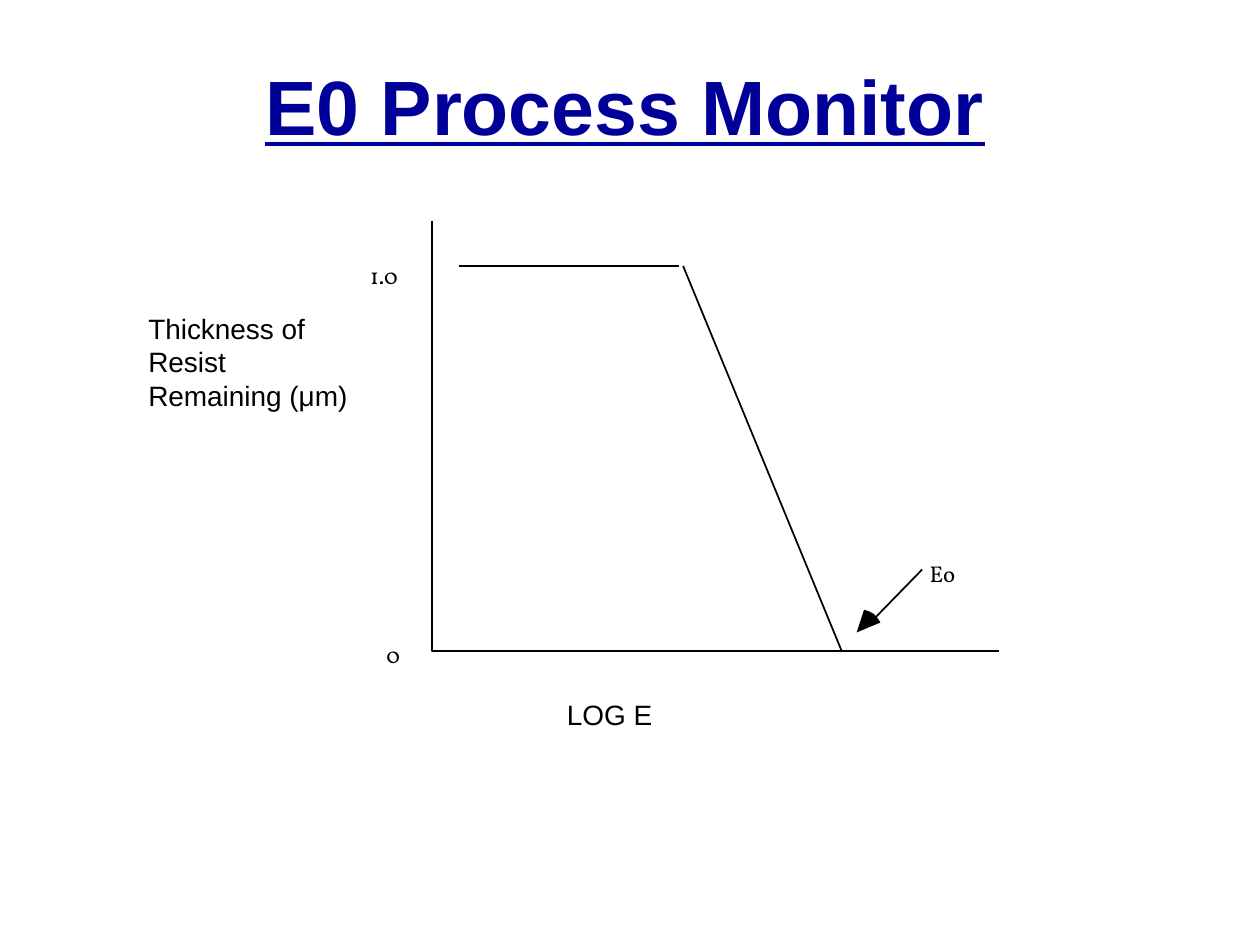
from dataclasses import dataclass

from lxml.etree import SubElement
from pptx import Presentation
from pptx.dml.color import RGBColor
from pptx.enum.shapes import MSO_CONNECTOR
from pptx.enum.text import MSO_ANCHOR, PP_ALIGN
from pptx.oxml.ns import qn
from pptx.util import Cm, Pt

INK = "000000"
NAVY = "000099"

Point = tuple[float, float]


@dataclass(frozen=True)
class Label:
    text: str
    left: float
    top: float
    width: float
    height: float
    size: int
    font: str


@dataclass(frozen=True)
class Segment:
    start: Point
    end: Point


LABELS = [
    Label("Thickness of\nResist\nRemaining (μm)", 2.74, 6.15, 4.52, 2.97, 16, "Arial"),
    Label("LOG E", 11.18, 13.94, 2.22, 0.94, 16, "Arial"),
    Label("1.0", 7.21, 5.16, 1.14, 0.81, 13, "Vollkorn"),
    Label("0", 7.54, 12.8, 0.76, 0.81, 13, "Vollkorn"),
    Label("Eo", 18.49, 11.15, 1.07, 0.81, 13, "Vollkorn"),
]
PLATEAU = Segment((9.25, 5.36), (13.69, 5.36))
SLOPE = Segment((13.77, 5.36), (16.97, 13.13))
POINTER = Segment((17.45, 12.65), (18.59, 11.48))
AXES = [(8.71, 4.45), (8.71, 13.13), (20.14, 13.13)]
POINTER_HEAD = [(17.42, 12.29), (17.53, 12.33), (17.62, 12.38),
                (17.69, 12.46), (17.75, 12.55), (17.27, 12.75)]


def color(code: str) -> RGBColor:
    return RGBColor.from_string(code)


def add_text(slide, label: Label, *, ink: str = INK, bold: bool = False,
             underline: bool = False, wrap: bool = False,
             align: PP_ALIGN = PP_ALIGN.LEFT,
             anchor: MSO_ANCHOR = MSO_ANCHOR.TOP,
             line_spacing: float = 1.0) -> None:
    box = slide.shapes.add_textbox(
        Cm(label.left), Cm(label.top), Cm(label.width), Cm(label.height))
    frame = box.text_frame
    frame.word_wrap = wrap
    frame.vertical_anchor = anchor
    frame.text = label.text
    for paragraph in frame.paragraphs:
        paragraph.alignment = align
        paragraph.line_spacing = line_spacing
        for run in paragraph.runs:
            run.font.name = label.font
            run.font.size = Pt(label.size)
            run.font.bold = bold
            run.font.underline = underline
            run.font.color.rgb = color(ink)


def add_segment(slide, segment: Segment) -> None:
    stroke = slide.shapes.add_connector(
        MSO_CONNECTOR.STRAIGHT, *map(Cm, segment.start + segment.end))
    stroke.line.color.rgb = color(INK)
    stroke.line.width = Pt(1)
    SubElement(stroke.element.spPr, qn("a:effectLst"))


def add_outline(slide, points: list[Point], *, filled: bool) -> None:
    first, *rest = [(Cm(x), Cm(y)) for x, y in points]
    builder = slide.shapes.build_freeform(*first)
    builder.add_line_segments(rest, close=filled)
    outline = builder.convert_to_shape()
    outline.shadow.inherit = False
    if filled:
        outline.fill.solid()
        outline.fill.fore_color.rgb = color(INK)
        outline.line.fill.background()
    else:
        outline.fill.background()
        outline.line.color.rgb = color(INK)
        outline.line.width = Pt(1)


def main() -> None:
    deck = Presentation()
    deck.slide_width, deck.slide_height = Cm(25.4), Cm(19.05)
    slide = deck.slides.add_slide(deck.slide_layouts[6])

    add_outline(slide, AXES, filled=False)
    for segment in (PLATEAU, SLOPE, POINTER):
        add_segment(slide, segment)
    add_outline(slide, POINTER_HEAD, filled=True)
    for label in LABELS:
        add_text(slide, label)
    title = Label("E0 Process Monitor", 1.27, 0.64, 22.66, 3.18, 44, "Arial")
    add_text(slide, title, ink=NAVY, bold=True, underline=True, wrap=True,
             align=PP_ALIGN.CENTER, anchor=MSO_ANCHOR.MIDDLE, line_spacing=0.9)

    deck.save("out.pptx")


if __name__ == "__main__":
    main()
